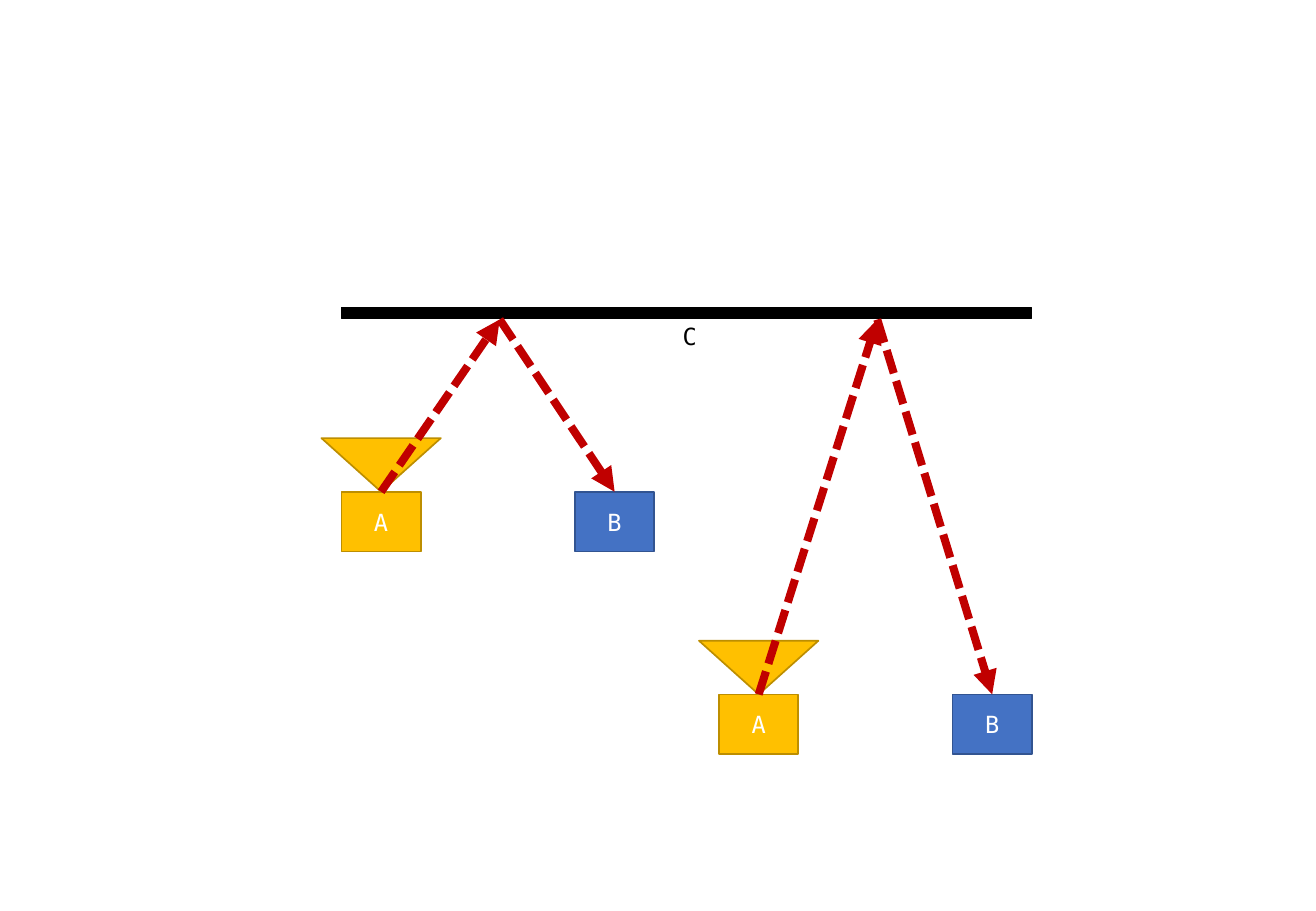
from dataclasses import dataclass

from lxml.etree import SubElement
from pptx import Presentation
from pptx.dml.color import RGBColor
from pptx.enum.shapes import MSO_CONNECTOR, MSO_SHAPE
from pptx.enum.text import MSO_ANCHOR, MSO_AUTO_SIZE, PP_ALIGN
from pptx.oxml.ns import qn
from pptx.util import Pt


@dataclass(frozen=True)
class Theme:
    font: str = "DejaVu Sans Mono"
    label_size: float = 14
    black: str = "000000"
    white: str = "FFFFFF"
    amber: str = "FFC000"
    amber_edge: str = "BD8E00"
    blue: str = "4472C4"
    blue_edge: str = "325491"
    red: str = "C00000"


theme = Theme()

deck = Presentation()
deck.slide_width, deck.slide_height = Pt(780), Pt(540)
page = deck.slides.add_slide(deck.slide_layouts[6])


def add_block(kind, left, top, width, height, fill, edge):
    block = page.shapes.add_shape(kind, Pt(left), Pt(top), Pt(width), Pt(height))
    block.shadow.inherit = False
    block.fill.solid()
    block.fill.fore_color.rgb = RGBColor.from_string(fill)
    block.line.color.rgb = RGBColor.from_string(edge)
    block.line.width = Pt(1)
    return block


def write_label(box, text, color):
    para = box.text_frame.paragraphs[0]
    para.text = text
    para.font.name = theme.font
    para.font.size = Pt(theme.label_size)
    para.font.color.rgb = RGBColor.from_string(color)
    return para


# Reflecting wall
wall_left, wall_top, wall_width, wall_height = 202.4, 182.2, 409, 6.6
wall_bottom = wall_top + wall_height
add_block(MSO_SHAPE.RECTANGLE, wall_left, wall_top, wall_width, wall_height,
          theme.black, theme.black)

# Emitter A and receiver B, near the wall and far from it
box_width, box_height = 47, 35.4
receiver_offset = 138.4
horn_width, horn_height = 70.8, 31.8
bounce_offset = 93.8

for emitter_left, box_top in ((wall_left, 291.5), (426.2, 411.6)):
    receiver_left = emitter_left + receiver_offset
    for text, left, fill, edge in (
        ("A", emitter_left, theme.amber, theme.amber_edge),
        ("B", receiver_left, theme.blue, theme.blue_edge),
    ):
        box = add_block(MSO_SHAPE.RECTANGLE, left, box_top, box_width, box_height, fill, edge)
        box.text_frame.vertical_anchor = MSO_ANCHOR.MIDDLE
        write_label(box, text, theme.white).alignment = PP_ALIGN.CENTER

    emitter_center = emitter_left + box_width / 2
    horn = add_block(MSO_SHAPE.ISOSCELES_TRIANGLE, emitter_center - horn_width / 2,
                     box_top - horn_height, horn_width, horn_height,
                     theme.amber, theme.amber_edge)
    horn.rotation = 180

    # The signal leaves A, bounces off the wall and reaches B
    stops = (
        (emitter_center, box_top),
        (emitter_left + bounce_offset, wall_bottom + 0.6),
        (receiver_left + box_width / 2, box_top),
    )
    for start, end in zip(stops, stops[1:]):
        ray = page.shapes.add_connector(MSO_CONNECTOR.STRAIGHT,
                                        *(Pt(value) for value in start + end))
        ray.line.color.rgb = RGBColor.from_string(theme.red)
        ray.line.width = Pt(4.75)
        outline = ray.line._get_or_add_ln()
        SubElement(outline, qn("a:prstDash"), val="sysDash")
        SubElement(outline, qn("a:tailEnd"), type="triangle")
        SubElement(ray._element.spPr, qn("a:effectLst"))

# Wall label
wall_label = page.shapes.add_textbox(Pt(397.6), Pt(187.4), Pt(22.6), Pt(24.2))
wall_label.text_frame.word_wrap = False
wall_label.text_frame.auto_size = MSO_AUTO_SIZE.SHAPE_TO_FIT_TEXT
write_label(wall_label, "C", theme.black)

deck.save("out.pptx")
